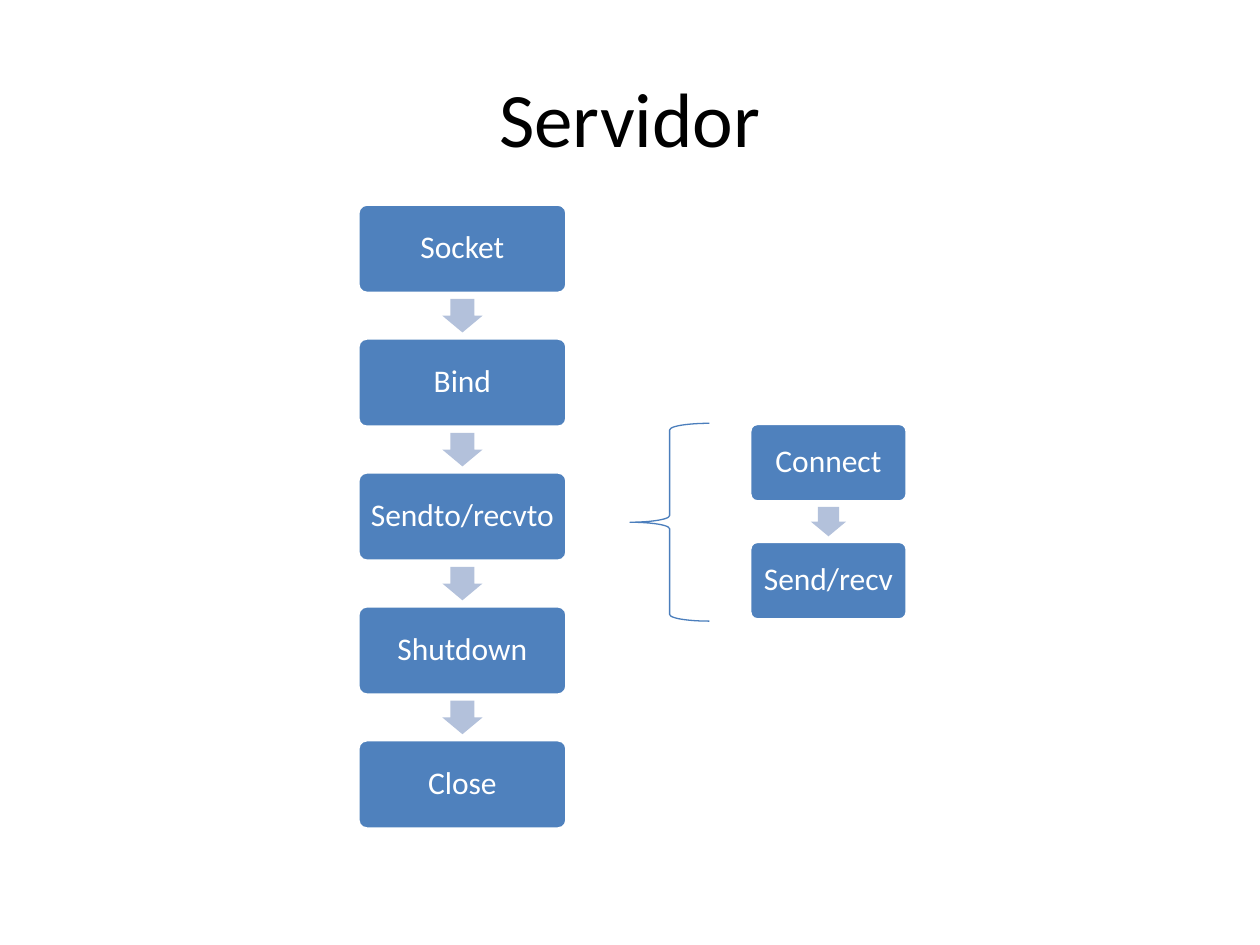
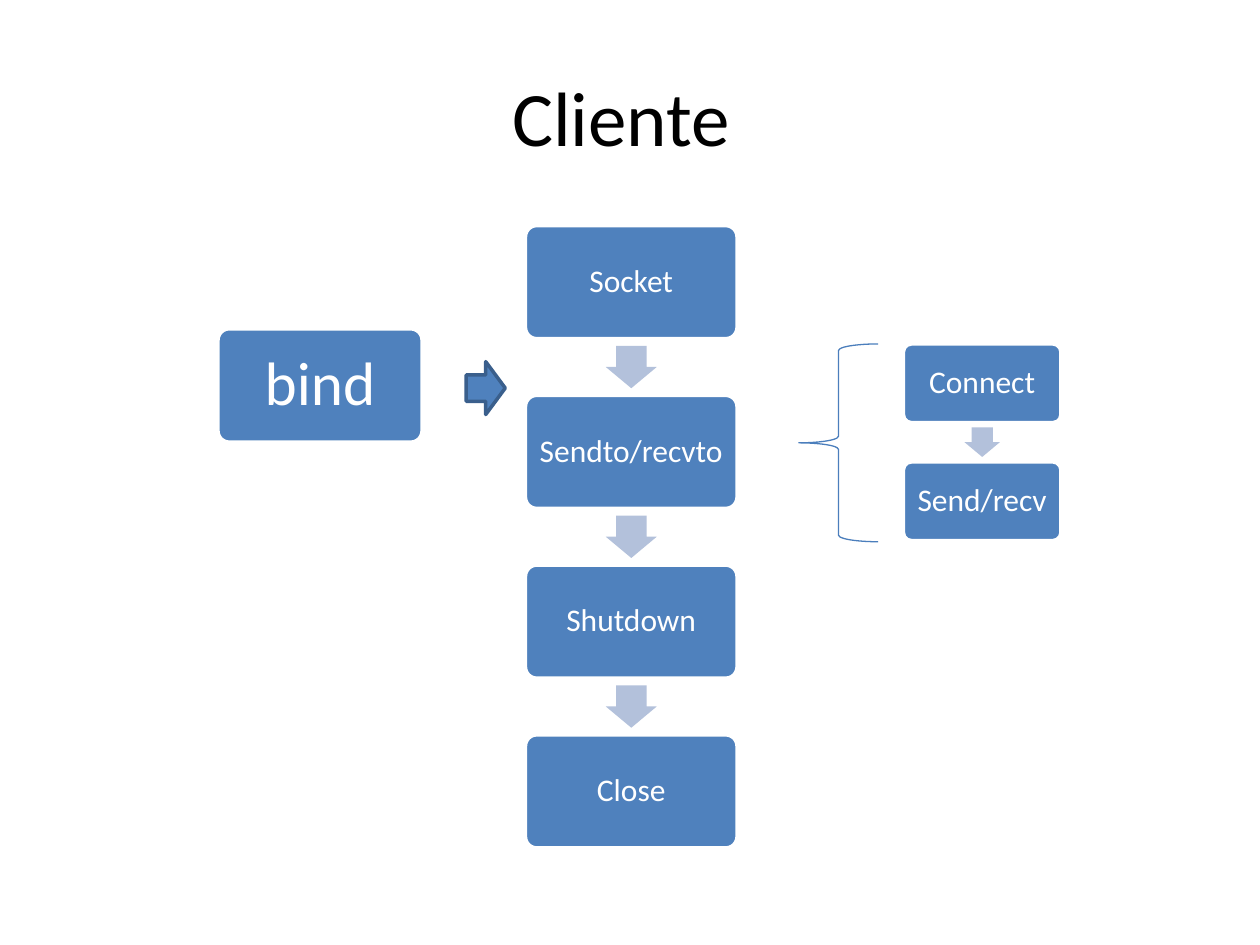
from pptx import Presentation
from pptx.dml.color import RGBColor
from pptx.enum.shapes import MSO_SHAPE as Preset
from pptx.enum.text import MSO_ANCHOR as Anchor, PP_ALIGN as Align
from pptx.util import Inches, Pt

FONT = "Calibri"
BLUE, PALE, EDGE, BRACE = "4F81BD", "B3C1DB", "3A5F8C", "4B7EBC"
WHITE, BLACK = "FFFFFF", "000000"
TITLE_SIZE = (9, 1.25)
CONNECTED = ["Connect", "Send/recv"]

# Frames are left, top, width, height in inches.
SLIDES = [
    {
        "title": "Servidor",
        "title_at": (0.5, 0.3),
        "chains": [
            (["Socket", "Bind", "Sendto/recvto", "Shutdown", "Close"],
             (2.84, 1.62, 1.66, 4.96), 18),
            (CONNECTED, (5.95, 3.36, 1.25, 1.56), 18),
        ],
        "brace": (5, 3.36, 0.63, 1.57),
    },
    {
        "title": "Cliente",
        "title_at": (0.43, 0.29),
        "chains": [
            (["Socket", "Sendto/recvto", "Shutdown", "Close"],
             (4.17, 1.79, 1.68, 4.94), 18),
            (CONNECTED, (7.17, 2.73, 1.25, 1.56), 18),
            (["bind"], (1.73, 2.61, 1.62, 0.9), 35),
        ],
        "brace": (6.34, 2.73, 0.63, 1.57),
        "side_arrow": (3.7, 2.87, 0.31, 0.42),
    },
]


def color(value):
    return RGBColor.from_string(value)


def add_preset(shapes, preset, frame, fill=None, line=None, width=2):
    shape = shapes.add_shape(preset, *(Inches(length) for length in frame))
    shape.shadow.inherit = False
    if fill:
        shape.fill.solid()
        shape.fill.fore_color.rgb = color(fill)
    else:
        shape.fill.background()
    if line:
        shape.line.color.rgb = color(line)
        shape.line.width = Pt(width)
    else:
        shape.line.fill.background()
    return shape


def write(frame, text, size, ink):
    frame.word_wrap = True
    frame.vertical_anchor = Anchor.MIDDLE
    para = frame.paragraphs[0]
    para.alignment = Align.CENTER
    span = para.add_run()
    span.text = text
    span.font.name = FONT
    span.font.size = Pt(size)
    span.font.color.rgb = color(ink)
    return para


def add_step(shapes, text, frame, size):
    box = add_preset(shapes, Preset.ROUNDED_RECTANGLE, frame, BLUE, WHITE)
    box.adjustments[0] = 0.1
    inset = Inches(0.08)
    body = box.text_frame
    body.margin_left = body.margin_right = inset
    body.margin_top = body.margin_bottom = inset
    write(body, text, size, WHITE).line_spacing = 0.9


def add_down_arrow(shapes, center_x, center_y, step_height):
    length, breadth = 0.375 * step_height, 0.45 * step_height
    frame = (center_x - length / 2, center_y - breadth / 2, length, breadth)
    arrow = add_preset(shapes, Preset.RIGHT_ARROW, frame, PALE)
    arrow.rotation = 90
    arrow.adjustments[0] = 0.6
    arrow.adjustments[1] = 0.5


def add_chain(page, steps, frame, size):
    left, top, width, height = frame
    step_height = height / (1.5 * len(steps) - 0.5)
    shapes = page.shapes.add_group_shape().shapes
    for index, text in enumerate(steps):
        step_top = top + 1.5 * step_height * index
        if index:
            add_down_arrow(shapes, left + width / 2,
                           step_top - step_height / 4, step_height)
        add_step(shapes, text, (left, step_top, width, step_height), size)


def add_title(page, text, corner):
    title = page.shapes.title
    title.left, title.top = (Inches(length) for length in corner)
    title.width, title.height = (Inches(length) for length in TITLE_SIZE)
    write(title.text_frame, text, 44, BLACK)


def main():
    deck = Presentation()
    deck.slide_width, deck.slide_height = Inches(10), Inches(7.5)
    for content in SLIDES:
        page = deck.slides.add_slide(deck.slide_layouts.get_by_name("Title Only"))
        add_title(page, content["title"], content["title_at"])
        for steps, frame, size in content["chains"]:
            add_chain(page, steps, frame, size)
        add_preset(page.shapes, Preset.LEFT_BRACE, content["brace"],
                   line=BRACE, width=0.75)
        if "side_arrow" in content:
            add_preset(page.shapes, Preset.RIGHT_ARROW,
                       content["side_arrow"], BLUE, EDGE)
    deck.save("out.pptx")


if __name__ == "__main__":
    main()
